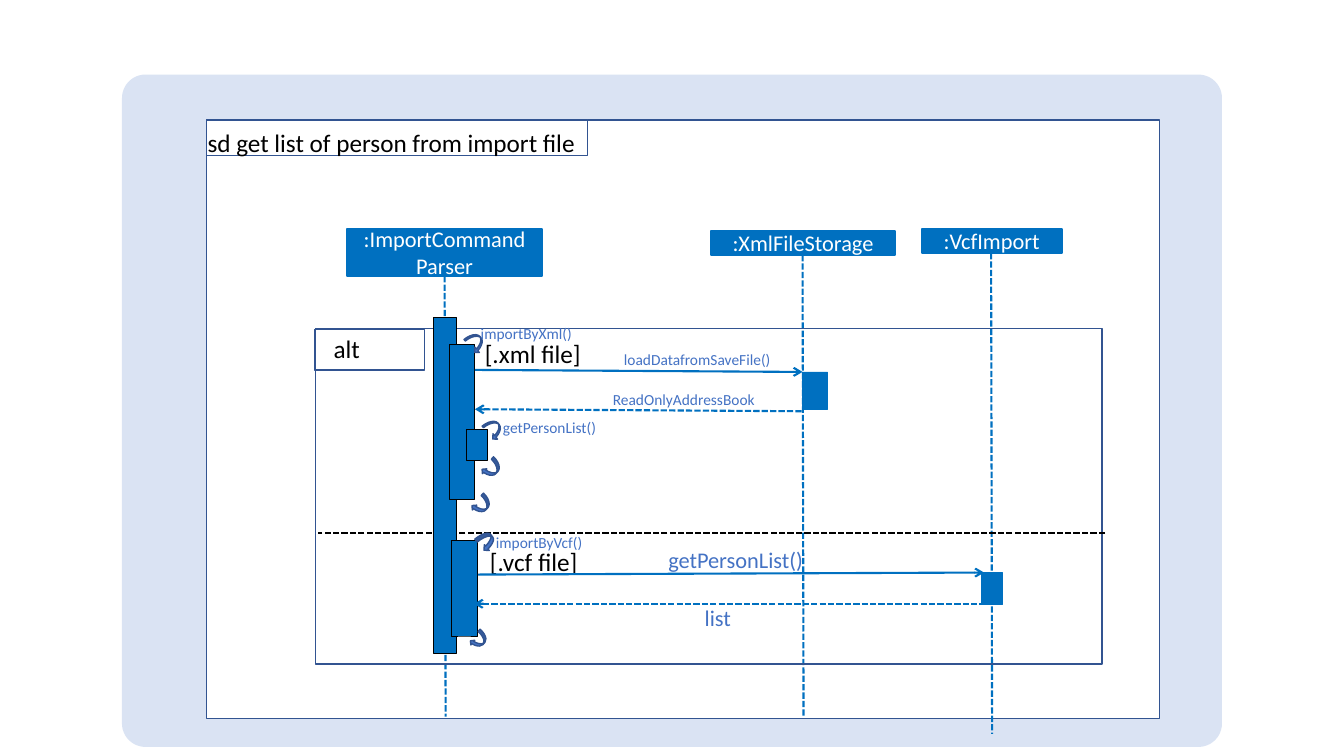
import lxml.etree
import pptx
import pptx.dml.color
import pptx.enum.dml
import pptx.enum.shapes
import pptx.enum.text
import pptx.oxml.ns
import pptx.util

RGBColor = pptx.dml.color.RGBColor
MSO_SHAPE = pptx.enum.shapes.MSO_SHAPE
PX = 9144

WHITE = RGBColor(0xFF, 0xFF, 0xFF)
BLACK = RGBColor(0x00, 0x00, 0x00)
PANEL = RGBColor(0xDA, 0xE3, 0xF3)
NAVY = RGBColor(0x32, 0x54, 0x91)
BLUE = RGBColor(0x00, 0x70, 0xC0)
ACCENT = RGBColor(0x44, 0x72, 0xC4)

THIN_ARROW = (0.145, 0.5, 0.25)
WIDE_ARROW = (0.25, 0.5, 0.25)


def emu(*lengths):
    return [pptx.util.Emu(length * PX) for length in lengths]


def style_line(line, color, width, dashed=False):
    line.color.rgb = color
    line.width = pptx.util.Pt(width)
    if dashed:
        line.dash_style = pptx.enum.dml.MSO_LINE.SQUARE_DOT


def add_box(s, box, fill=None, line=None, width=1, kind=MSO_SHAPE.RECTANGLE,
            adj=(), rotation=0):
    sp = s.shapes.add_shape(kind, *emu(*box))
    sp.shadow.inherit = False
    sp.rotation = rotation
    for i, value in enumerate(adj):
        sp.adjustments[i] = value
    if fill is None:
        sp.fill.background()
    else:
        sp.fill.solid()
        sp.fill.fore_color.rgb = fill
    if line is None:
        sp.line.fill.background()
    else:
        style_line(sp.line, line, width)
    return sp


def write(tf, lines, size, color, align=None):
    tf.word_wrap = True
    formats = {"name": "Calibri", "size": pptx.util.Pt(size)}
    for i, line in enumerate(lines):
        p = tf.add_paragraph() if i else tf.paragraphs[0]
        p.alignment = align
        r = p.add_run()
        r.text = line
        for name, value in formats.items():
            setattr(r.font, name, value)
        r.font.color.rgb = color


def add_text(s, box, text, size, color):
    tf = s.shapes.add_textbox(*emu(*box)).text_frame
    tf.auto_size = pptx.enum.text.MSO_AUTO_SIZE.SHAPE_TO_FIT_TEXT
    write(tf, [text], size, color)


def add_line(s, x1, y1, x2, y2, color=BLUE, dashed=False, end=None):
    cn = s.shapes.add_connector(
        pptx.enum.shapes.MSO_CONNECTOR.STRAIGHT, *emu(x1, y1, x2, y2))
    style_line(cn.line, color, 1.5, dashed)
    qn = pptx.oxml.ns.qn
    if end:
        ln = cn.line._get_or_add_ln()
        lxml.etree.SubElement(ln, qn(f"a:{end}"), type="arrow")
    lxml.etree.SubElement(cn._element.spPr, qn("a:effectLst"))


def add_bar(s, box, line=BLACK):
    add_box(s, box, BLUE, line, 0.5)


def add_loop(s, box, rotation, adj=WIDE_ARROW):
    add_box(s, box, ACCENT, NAVY, 1, MSO_SHAPE.CURVED_LEFT_ARROW, adj, rotation)


def add_frame(s, x, y, w, h):
    add_box(s, (x - 84, y - 45, 1091, 667), PANEL,
            kind=MSO_SHAPE.ROUNDED_RECTANGLE, adj=(0.035,))
    add_box(s, (x, y, w, h), WHITE, NAVY)
    add_box(s, (x, y, 378, 35), WHITE, NAVY)
    add_text(s, (x - 9, y + 2, 421, 40),
             "sd get list of person from import file", 18, BLACK)


def add_participant(s, x, y, w, h, lines, life_end):
    sp = add_box(s, (x, y, w, h), BLUE, BLUE, 1.5)
    tf = sp.text_frame
    formats = {"vertical_anchor": pptx.enum.text.MSO_ANCHOR.MIDDLE}
    for name, value in formats.items():
        setattr(tf, name, value)
    write(tf, lines, 16, WHITE, pptx.enum.text.PP_ALIGN.CENTER)
    center = x + w // 2
    add_line(s, center, y + h, center + 1, life_end, dashed=True)


def add_alternative(s, x, y, w, h):
    add_box(s, (x, y, w, h), None, NAVY)
    add_box(s, (x - 1, y + 1, 109, 40), None, NAVY)
    add_text(s, (x + 8, y, 93, 40), "alt", 18, BLACK)
    add_line(s, x + w + 3, y + 203, x + 2, y + 203, BLACK, True)


def add_xml_branch(s, x, y, w, h):
    add_bar(s, (x, y, w, h))
    add_bar(s, (x + 350, y + 27, 25, 37), BLUE)
    add_text(s, (x + w, y - 11, 146, 40), "[.xml file]", 18, BLACK)
    add_loop(s, (x + 19, y - 12, 14, 20), 320.4, THIN_ARROW)
    add_loop(s, (x + w, y + h - 4, 13, 20), 42.7)
    add_line(s, x + w, y + 25, x + 350, y + 27, end="tailEnd")
    add_line(s, x + w, y + 64, x + 351, y + 66, dashed=True, end="headEnd")
    add_bar(s, (x + 17, y + 84, 20, 31))
    add_loop(s, (x + 37, y + 74, 14, 20), 320.4, THIN_ARROW)
    add_loop(s, (x + 35, y + 113, 13, 20), 42.7)
    for dx, dy, width, label in (
            (163, 0, 174, "loadDatafromSaveFile()"),
            (152, 40, 176, "ReadOnlyAddressBook"),
            (43, 68, 117, "getPersonList()"),
            (21, -25, 116, "importByXml()")):
        add_text(s, (x + dx, y + dy, width, 29), label, 11, ACCENT)


def add_vcf_branch(s, x, y, w, h):
    add_bar(s, (x, y, w, h))
    add_bar(s, (x + 525, y + 32, 21, 32), BLUE)
    add_text(s, (x + 28, y + 1, 108, 40), "[.vcf file]", 18, BLACK)
    add_loop(s, (x + 27, y - 8, 15, 18), 320.4)
    add_loop(s, (x + 21, y + h - 5, 12, 18), 39.6)
    add_line(s, x + 26, y + 34, x + 528, y + 32, end="tailEnd")
    add_line(s, x + 22, y + 63, x + 535, y + 63, dashed=True, end="headEnd")
    for dx, dy, width, height, label, size in (
            (241, 58, 119, 37, "list", 16),
            (205, 1, 166, 37, "getPersonList()", 16),
            (34, -12, 116, 29, "importByVcf()", 11)):
        add_text(s, (x + dx, y + dy, width, height), label, size, ACCENT)


def main():
    prs = pptx.Presentation()
    prs.slide_width, prs.slide_height = emu(1333, 750)
    s = prs.slides.add_slide(prs.slide_layouts[6])
    add_frame(s, 205, 119, 945, 594)
    add_participant(s, 344, 227, 194, 47, [":ImportCommand", "Parser"], 711)
    add_participant(s, 705, 229, 183, 24, [":XmlFileStorage"], 711)
    add_participant(s, 914, 227, 139, 24, [":VcfImport"], 728)
    add_alternative(s, 313, 326, 780, 333)
    add_bar(s, (430, 315, 23, 333))
    add_xml_branch(s, 446, 342, 25, 153)
    add_vcf_branch(s, 448, 536, 25, 95)
    prs.save("out.pptx")


if __name__ == "__main__":
    main()
